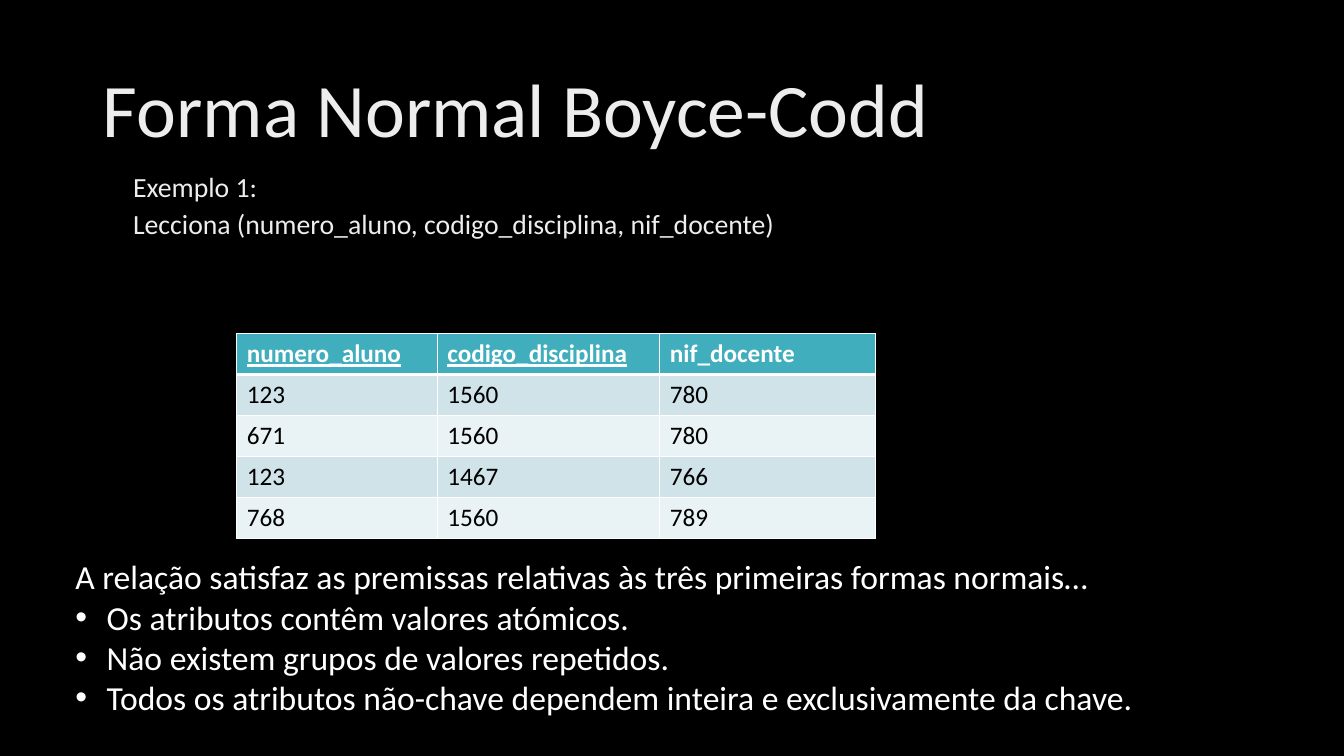
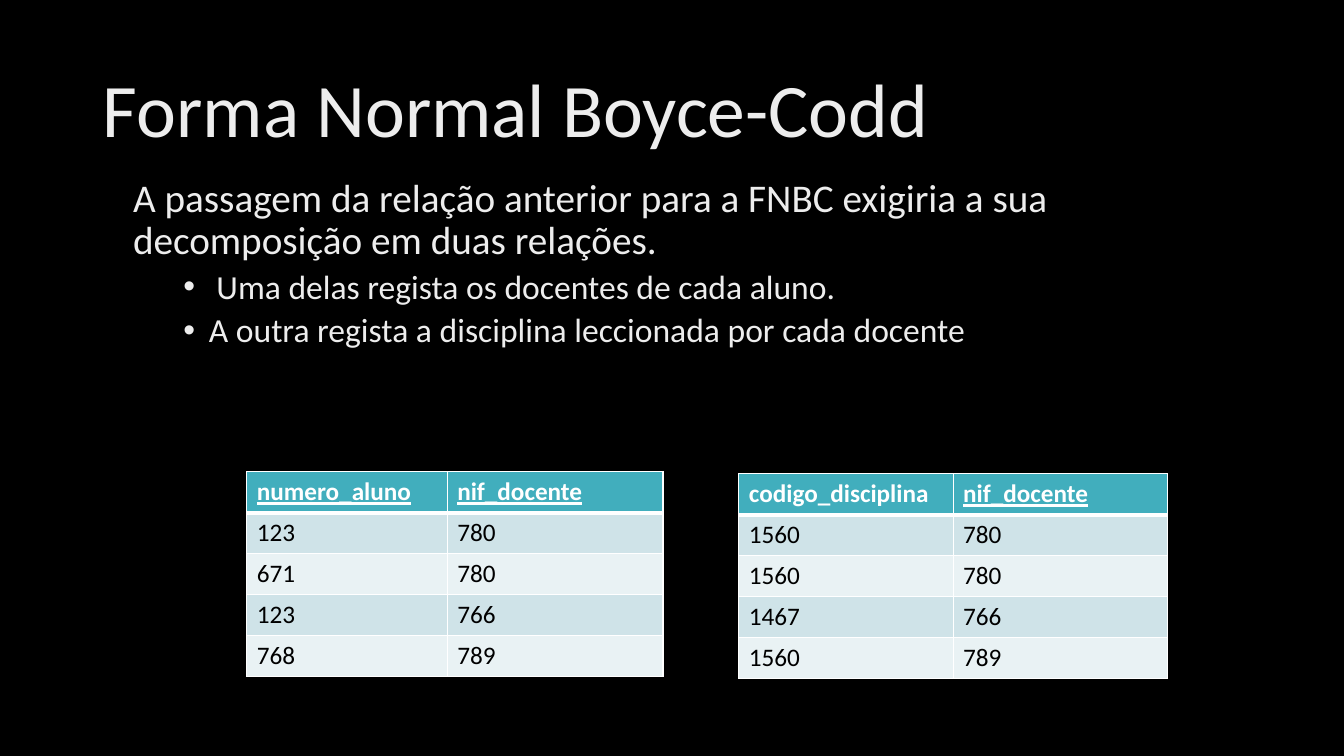
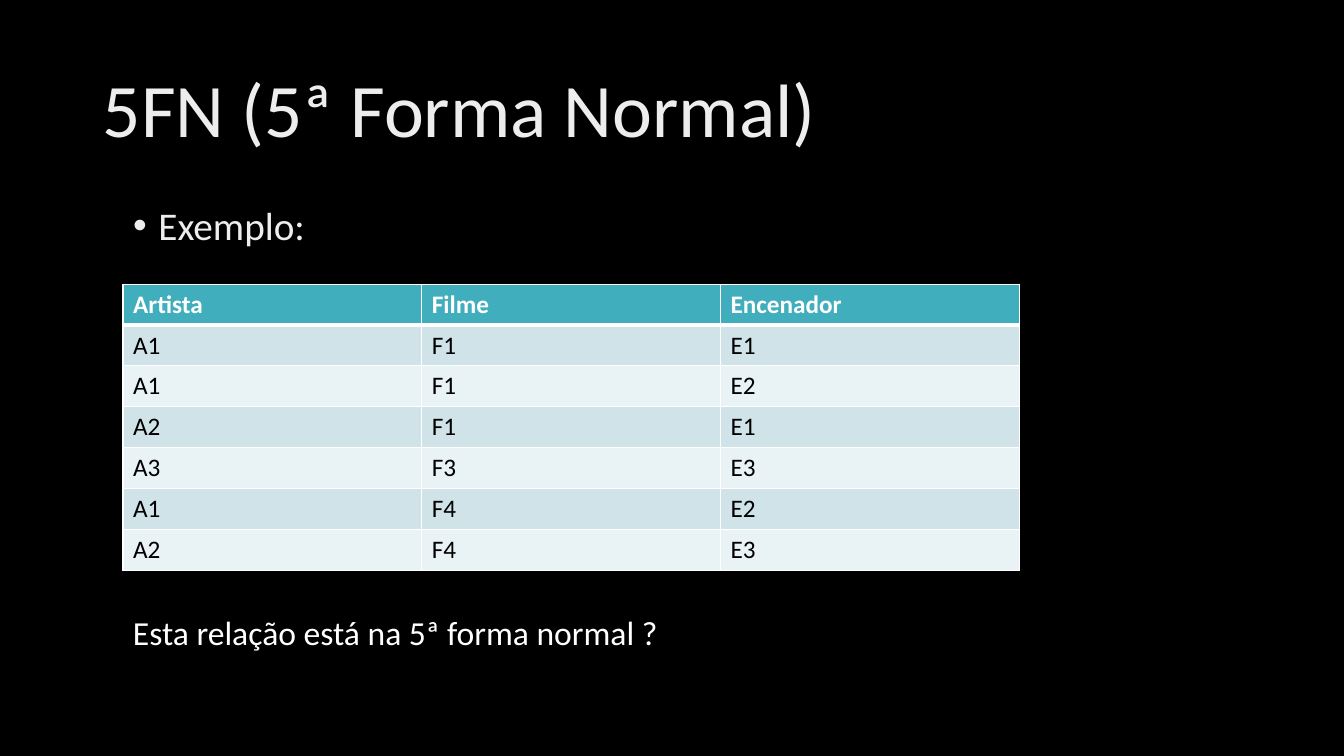
from dataclasses import dataclass

from lxml import etree
from pptx import Presentation
from pptx.dml.color import RGBColor
from pptx.enum.text import MSO_ANCHOR, MSO_AUTO_SIZE, PP_ALIGN
from pptx.oxml.ns import qn
from pptx.util import Cm, Pt

LEFT = PP_ALIGN.LEFT
MIDDLE = MSO_ANCHOR.MIDDLE
TOP = MSO_ANCHOR.TOP
FIXED = MSO_AUTO_SIZE.NONE


@dataclass(frozen=True)
class Theme:
    font: str = "Calibri"
    back: str = "000000"
    soft: str = "EDEDED"
    white: str = "FFFFFF"
    ink: str = "000000"
    head: str = "41AEBD"
    bands: tuple = ("CFE3E8", "E9F2F4")
    title: float = 54
    lead: float = 28
    text: float = 24
    note: float = 19.8
    cell: float = 18
    thin: float = 1
    thick: float = 3
    row: float = 1.03


def rgb(code):
    return RGBColor.from_string(code)


class Deck:
    def __init__(self, theme):
        self.theme = theme
        self.prs = Presentation()
        self.prs.slide_width, self.prs.slide_height = Cm(33.87), Cm(19.05)
        back = self.prs.slide_master.background.fill
        back.solid()
        back.fore_color.rgb = rgb(theme.back)
        self.slide = None

    def page(self, title):
        self.slide = self.prs.slides.add_slide(self.prs.slide_layouts[1])
        frame = self.place(self.slide.shapes.title, 2.34, 1.02, 29.21, 3.68)
        frame.vertical_anchor = MIDDLE
        self.para(frame, title, self.theme.title, lines=0.9)

    def place(self, shape, x, y, w, h):
        """Move a text shape and return its frame, ready for text."""
        shape.left, shape.top, shape.width, shape.height = map(Cm, (x, y, w, h))
        frame = shape.text_frame
        frame.word_wrap = True
        frame.auto_size = FIXED
        frame.vertical_anchor = TOP
        return frame

    def body(self, y, h):
        return self.place(self.slide.placeholders[1], 3.1, y, 28.42, h)

    def box(self, x, y, w, h):
        shape = self.slide.shapes.add_textbox(0, 0, 0, 0)
        return self.place(shape, x, y, w, h)

    def run(self, para, text, size, color, bold=False, line=False):
        run = para.add_run()
        run.text = text
        font = run.font
        font.name, font.size = self.theme.font, Pt(size)
        font.bold, font.underline = bold, line
        font.color.rgb = rgb(color)

    def para(self, frame, text, size, color=None, lines=1.0, before=0,
             left=0, hang=0, level=0):
        """Add a paragraph; a hang above zero gives it a bullet."""
        para = frame.paragraphs[0]
        if para.runs:
            para = frame.add_paragraph()
        para.alignment, para.level = LEFT, level
        para.line_spacing, para.space_before = lines, Pt(before)
        props = para._p.get_or_add_pPr()
        props.set("marL", str(Cm(left)))
        props.set("indent", str(-Cm(hang)))
        if hang:
            etree.SubElement(props, qn("a:buFont"), typeface="Arial")
            etree.SubElement(props, qn("a:buChar"), char="•")
        else:
            etree.SubElement(props, qn("a:buNone"))
        self.run(para, text, size, color or self.theme.soft)

    def edge(self, cell, side, width):
        props = cell._tc.get_or_add_tcPr()
        line = etree.SubElement(props, qn("a:ln" + side), w=str(Pt(width)))
        fill = etree.SubElement(line, qn("a:solidFill"))
        etree.SubElement(fill, qn("a:srgbClr"), val=self.theme.white)

    def table(self, x, y, cols, rows, keys=()):
        """Draw a table whose key columns have underlined heads."""
        look = self.theme
        shape = self.slide.shapes.add_table(
            len(rows), len(cols), Cm(x), Cm(y),
            Cm(sum(cols)), Cm(look.row * len(rows)))
        table = shape.table
        table.horz_banding = False
        for col, width in zip(table.columns, cols):
            col.width = Cm(width)
        for r, row in enumerate(rows):
            table.rows[r].height = Cm(look.row)
            head = r == 0
            for c, text in enumerate(row):
                cell = table.cell(r, c)
                for side in "LRTB":
                    heavy = (side, r) in (("B", 0), ("T", 1))
                    self.edge(cell, side, look.thick if heavy else look.thin)
                cell.fill.solid()
                cell.fill.fore_color.rgb = rgb(
                    look.head if head else look.bands[(r - 1) % 2])
                self.run(cell.text_frame.paragraphs[0], text, look.cell,
                         look.white if head else look.ink,
                         bold=head, line=head and text in keys)


def first(deck):
    look = deck.theme
    deck.page("Forma Normal Boyce-Codd")
    body = deck.body(4.37, 4.09)
    for text in ("Exemplo 1:",
                 "Lecciona (numero_aluno, codigo_disciplina, nif_docente)"):
        deck.para(body, text, look.note, lines=0.7, before=10)
    deck.table(5.97, 8.41, (5.05, 5.61, 5.44), (
        ("numero_aluno", "codigo_disciplina", "nif_docente"),
        ("123", "1560", "780"),
        ("671", "1560", "780"),
        ("123", "1467", "766"),
        ("768", "1560", "789"),
    ), keys=("numero_aluno", "codigo_disciplina"))
    box = deck.box(1.65, 13.89, 29.59, 4.6)
    deck.para(box, "A relação satisfaz as premissas relativas às três "
              "primeiras formas normais…", look.text, look.white)
    for text in ("Os atributos contêm valores atómicos.",
                 "Não existem grupos de valores repetidos.",
                 "Todos os atributos não-chave dependem inteira e "
                 "exclusivamente da chave."):
        deck.para(box, text, look.text, look.white, left=0.79, hang=0.79)


def second(deck):
    look = deck.theme
    deck.page("Forma Normal Boyce-Codd")
    body = deck.body(4.37, 5.69)
    deck.para(body, "A passagem da relação anterior para a FNBC exigiria a "
              "sua decomposição em duas relações.",
              look.lead, lines=0.9, before=10)
    for text in (" Uma delas regista os docentes de cada aluno.",
                 "A outra regista a disciplina leccionada por cada docente"):
        deck.para(body, text, look.text, lines=0.9, before=5,
                  left=1.91, hang=0.64, level=1)
    deck.table(6.22, 11.89, (5.05, 5.44), (
        ("numero_aluno", "nif_docente"),
        ("123", "780"),
        ("671", "780"),
        ("123", "766"),
        ("768", "789"),
    ), keys=("numero_aluno", "nif_docente"))
    deck.table(18.62, 11.94, (5.4, 5.4), (
        ("codigo_disciplina", "nif_docente"),
        ("1560", "780"),
        ("1560", "780"),
        ("1467", "766"),
        ("1560", "789"),
    ), keys=("nif_docente",))


def third(deck):
    look = deck.theme
    deck.page("5FN (5ª Forma Normal)")
    deck.para(deck.body(5.08, 12.09), "Exemplo:", look.lead,
              lines=0.9, before=10, left=0.64, hang=0.64)
    deck.table(3.1, 7.16, (7.53,) * 3, (
        ("Artista", "Filme", "Encenador"),
        ("A1", "F1", "E1"),
        ("A1", "F1", "E2"),
        ("A2", "F1", "E1"),
        ("A3", "F3", "E3"),
        ("A1", "F4", "E2"),
        ("A2", "F4", "E3"),
    ))
    deck.para(deck.box(3.1, 15.29, 23.42, 2.82),
              "Esta relação está na 5ª forma normal ?", look.text, look.white)


def main():
    deck = Deck(Theme())
    for build in (first, second, third):
        build(deck)
    deck.prs.save("out.pptx")


if __name__ == "__main__":
    main()
